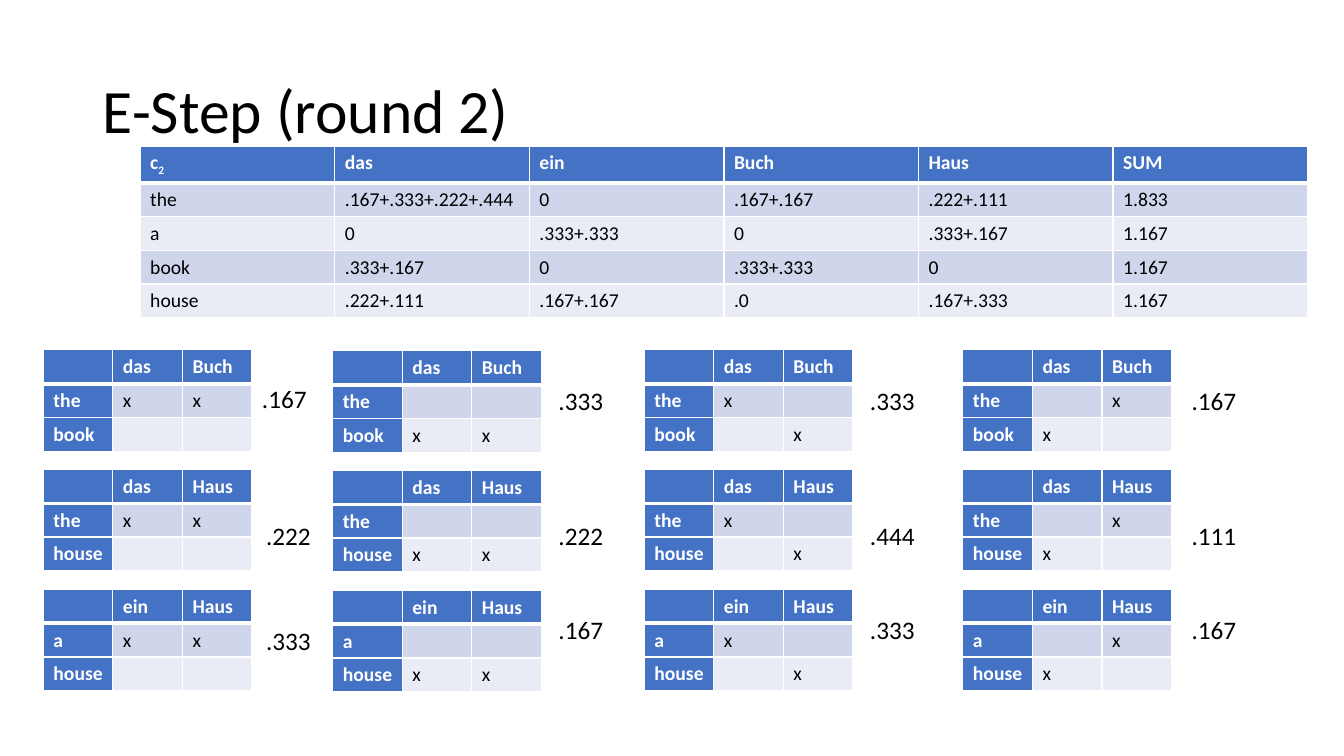
"""Build the E-Step (round 2) slide with expected counts and alignment tables."""
from dataclasses import dataclass

from lxml.etree import SubElement
from pptx import Presentation
from pptx.dml.color import RGBColor as Rgb
from pptx.enum.text import MSO_ANCHOR as Anchor, MSO_AUTO_SIZE as AutoSize
from pptx.oxml.ns import qn
from pptx.util import Inches, Pt


@dataclass(frozen=True)
class Theme:
    font: str = "Calibri"
    ink: str = "000000"
    paper: str = "FFFFFF"
    header: str = "4472C4"
    bands: tuple = ("CFD5EA", "E9EBF5")
    title_size: int = 44
    label_size: int = 18
    cell_size: int = 14
    rule: int = 1
    header_rule: int = 3


class SlideBuilder:
    def __init__(self, slide, theme):
        self.slide = slide
        self.theme = theme

    def style(self, paragraph, size, color, bold=False):
        for run in paragraph.runs:
            font = run.font
            font.name, font.size, font.bold = self.theme.font, Pt(size), bold
            font.color.rgb = Rgb.from_string(color)

    def title(self, text, left, top, width, height):
        heading = self.slide.shapes.title
        heading.left, heading.top = Inches(left), Inches(top)
        heading.width, heading.height = Inches(width), Inches(height)
        frame = heading.text_frame
        frame.text = text
        frame.word_wrap = True
        frame.vertical_anchor = Anchor.MIDDLE
        paragraph = frame.paragraphs[0]
        paragraph.alignment = 1
        paragraph.line_spacing = 0.9
        self.style(paragraph, self.theme.title_size, self.theme.ink)

    def label(self, text, left, top):
        box = self.slide.shapes.add_textbox(Inches(left), Inches(top), Inches(0.65), Inches(0.4))
        frame = box.text_frame
        frame.text = text
        frame.word_wrap = False
        frame.auto_size = AutoSize.SHAPE_TO_FIT_TEXT
        self.style(frame.paragraphs[0], self.theme.label_size, self.theme.ink)

    def border(self, cell, side, width):
        line = SubElement(cell._tc.get_or_add_tcPr(), qn(f"a:ln{side}"), w=str(Pt(width)))
        fill = SubElement(line, qn("a:solidFill"))
        SubElement(fill, qn("a:srgbClr"), val=self.theme.paper)

    def cell(self, cell, text, row, is_header):
        theme = self.theme
        cell.text_frame.text = text
        paragraph = cell.text_frame.paragraphs[0]
        self.style(paragraph, theme.cell_size, theme.paper if is_header else theme.ink, is_header)
        if not text:
            SubElement(paragraph._p, qn("a:endParaRPr"), sz=str(theme.cell_size * 100))
        for side in "LR" if row else "LRT":
            self.border(cell, side, theme.rule)
        self.border(cell, "B", theme.rule if row else theme.header_rule)
        cell.fill.solid()
        color = theme.header if is_header else theme.bands[(row - 1) % 2]
        cell.fill.fore_color.rgb = Rgb.from_string(color)

    def table(self, rows, left, top, column_width, row_height, header_column=False):
        count = len(rows[0])
        grid = self.slide.shapes.add_table(
            len(rows), count, Inches(left), Inches(top),
            Inches(column_width * count), Inches(row_height * len(rows))).table
        grid.first_col = header_column
        for column in grid.columns:
            column.width = Inches(column_width)
        for r, values in enumerate(rows):
            grid.rows[r].height = Inches(row_height)
            for c, text in enumerate(values):
                self.cell(grid.cell(r, c), text, r, r == 0 or (header_column and c == 0))
        return grid

    def subscript(self, cell, text):
        paragraph = cell.text_frame.paragraphs[0]
        run = paragraph.add_run()
        run.text = text
        self.style(paragraph, self.theme.cell_size, self.theme.paper, True)
        run._r.get_or_add_rPr().set("baseline", "-25000")


COUNTS = [
    ["c", "das", "ein", "Buch", "Haus", "SUM"],
    ["the", ".167+.333+.222+.444", "0", ".167+.167", ".222+.111", "1.833"],
    ["a", "0", ".333+.333", "0", ".333+.167", "1.167"],
    ["book", ".333+.167", "0", ".333+.333", "0", "1.167"],
    ["house", ".222+.111", ".167+.167", ".0", ".167+.333", "1.167"],
]
ALIGNMENTS = [
    (("x", "x"), ("", "")),
    (("", ""), ("x", "x")),
    (("x", ""), ("", "x")),
    (("", "x"), ("x", "")),
]
TABLE_LEFTS = [0.43, 3.3, 6.39, 9.55]
TABLE_NUDGES = [0, 0.01, 0, 0]
FIRST_TOP, PAIR_PITCH = 3.47, 1.19
SENTENCE_PAIRS = [
    (("das", "Buch"), ("the", "book"),
     [(".167", 2.5, 3.75), (".333", 5.44, 3.77), (".333", 8.53, 3.77), (".167", 11.72, 3.77)]),
    (("das", "Haus"), ("the", "house"),
     [(".222", 2.54, 5.11), (".222", 5.44, 5.11), (".444", 8.53, 5.11), (".111", 11.72, 5.11)]),
    (("ein", "Haus"), ("a", "house"),
     [(".333", 2.54, 6.15), (".167", 5.44, 6.05), (".333", 8.53, 6.05), (".167", 11.72, 6.05)]),
]


def main():
    deck = Presentation()
    deck.slide_width, deck.slide_height = Inches(13.33), Inches(7.5)
    builder = SlideBuilder(deck.slides.add_slide(deck.slide_layouts[5]), Theme())
    builder.title("E-Step (round 2)", 0.92, 0.4, 11.5, 1.45)
    for index, (german, english, probabilities) in enumerate(SENTENCE_PAIRS):
        top = FIRST_TOP + index * PAIR_PITCH
        for left, nudge, marks in zip(TABLE_LEFTS, TABLE_NUDGES, ALIGNMENTS):
            rows = [("", *german)] + [(word, *row) for word, row in zip(english, marks)]
            builder.table(rows, left, top + nudge, 0.69, 0.33, header_column=True)
        for probability in probabilities:
            builder.label(*probability)
    counts = builder.table(COUNTS, 1.39, 1.45, 1.93, 0.33)
    builder.subscript(counts.cell(0, 0), "2")
    deck.save("out.pptx")


if __name__ == "__main__":
    main()
